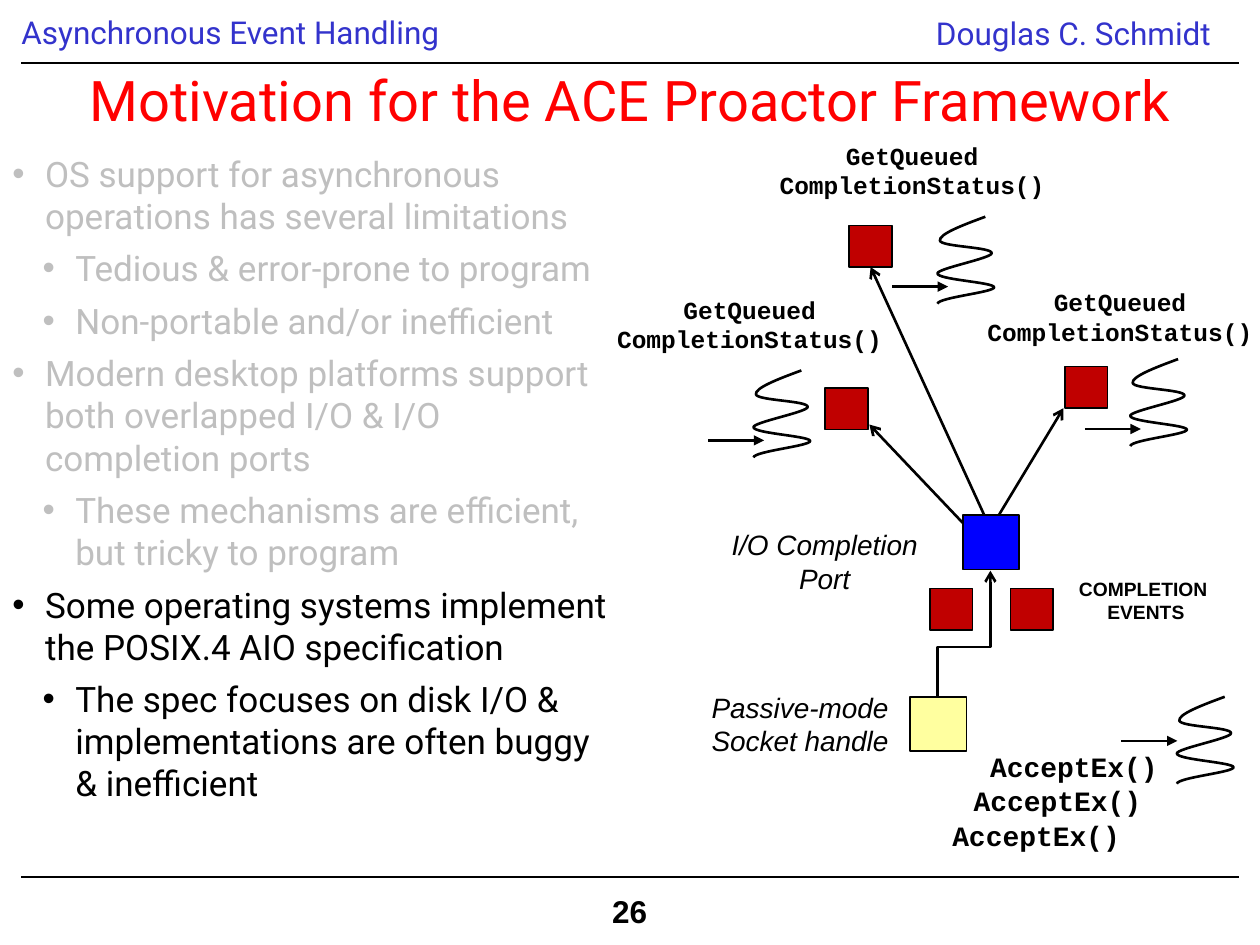
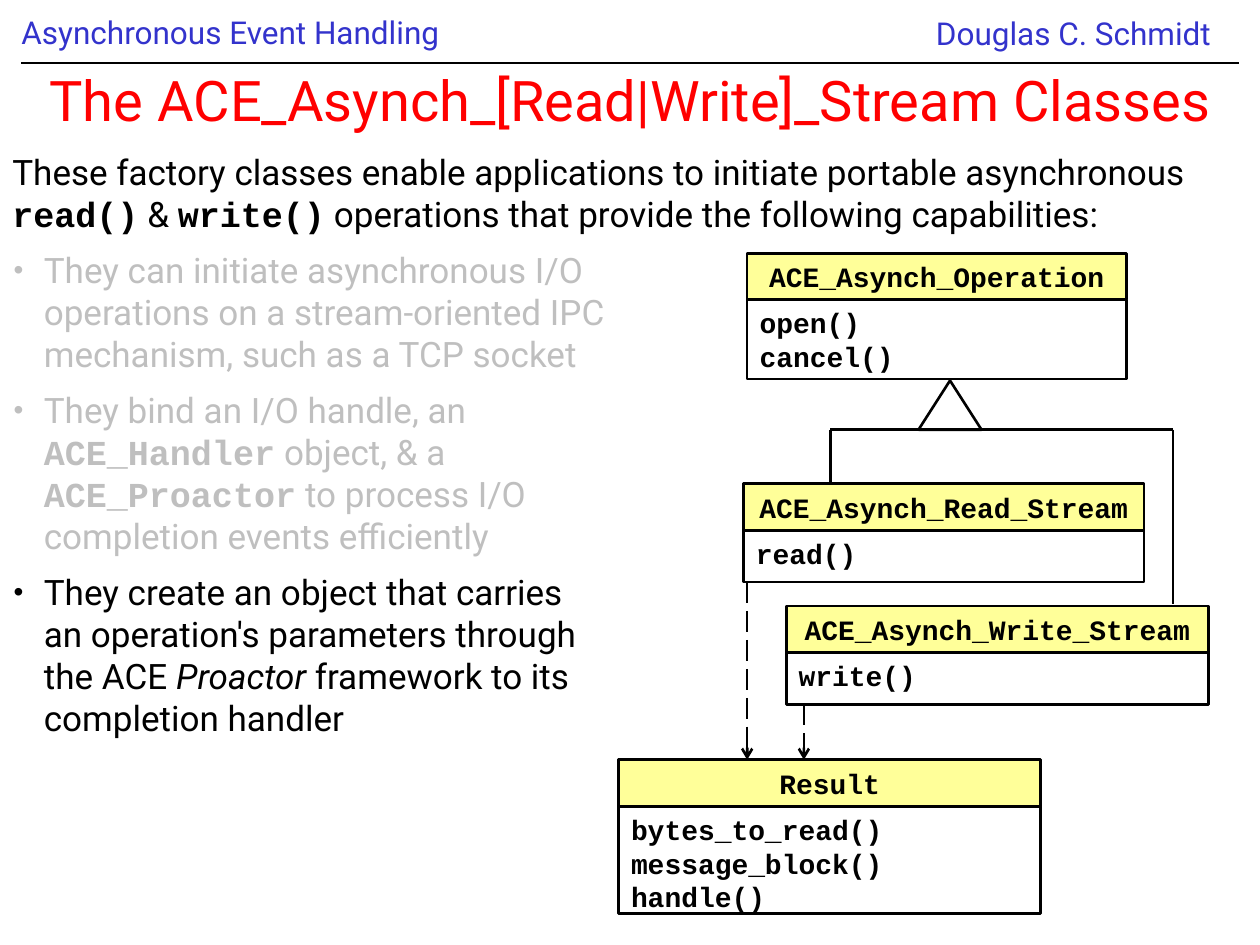
from lxml import etree
from pptx import Presentation
from pptx.dml.color import RGBColor
from pptx.enum.dml import MSO_LINE
from pptx.enum.shapes import MSO_CONNECTOR, MSO_SHAPE
from pptx.enum.text import MSO_ANCHOR, PP_ALIGN
from pptx.oxml.ns import qn
from pptx.util import Inches, Pt

LEFT, CENTER = PP_ALIGN.LEFT, PP_ALIGN.CENTER
TOP, MIDDLE = MSO_ANCHOR.TOP, MSO_ANCHOR.MIDDLE
STRAIGHT, ELBOW = MSO_CONNECTOR.STRAIGHT, MSO_CONNECTOR.ELBOW
RECTANGLE, TRIANGLE = MSO_SHAPE.RECTANGLE, MSO_SHAPE.ISOSCELES_TRIANGLE
LONG_DASH = MSO_LINE.LONG_DASH
BOTTOM_SIDE = 2
COLUMNS, ROWS = 100, 75

COLORS = {
    "black": "000000", "white": "FFFFFF", "header": "3333CC", "title": "FF0000",
    "faded": "BFBFBF", "event": "C00000", "port": "0000FF",
    "handle": "FFFF9F", "class": "FFFF99",
}
SANS, BODY, CODE = "Arial", "Roboto", "Courier New"
CODE_RUN = {"font": CODE, "bold": True}

SQUIGGLE = [
    (3.8, 0),
    (1.9, 0.7), (0.1, 1.4), (0.2, 1.9),
    (0.3, 2.4), (4.4, 2.4), (4.3, 2.9),
    (4.3, 3.3), (0, 4.1), (0, 4.5),
    (0, 5), (4.5, 5.2), (4.5, 5.6),
    (4.5, 6), (0.1, 6.4), (0, 6.9),
]


def color(name):
    return RGBColor.from_string(COLORS[name])


def round_off(shape):
    segments = list(shape._element.iter(qn("a:lnTo")))
    for first in range(0, len(segments), 3):
        curve = etree.Element(qn("a:cubicBezTo"))
        segments[first].addprevious(curve)
        for segment in segments[first:first + 3]:
            curve.append(segment[0])
            segment.getparent().remove(segment)


def style_run(run, size, font, ink, bold, italic):
    run.font.size = Pt(size)
    run.font.name = font
    run.font.bold = bold
    run.font.italic = italic
    run.font.color.rgb = color(ink)


def write(frame, text, size=16, font=SANS, ink="black", bold=False, italic=False,
          align=LEFT, before=0, spacing=None, indent=None, hanging=0.26, bullet_size=100):
    paragraph = frame.add_paragraph() if frame.text else frame.paragraphs[0]
    paragraph.alignment = align
    paragraph.space_before = Pt(before)
    if spacing:
        paragraph.line_spacing = spacing
    base = dict(size=size, font=font, ink=ink, bold=bold, italic=italic)
    for part in [text] if isinstance(text, str) else text:
        words, changes = (part, {}) if isinstance(part, str) else part
        for number, line in enumerate(words.split("\n")):
            if number:
                paragraph.add_line_break()
            if line:
                run = paragraph.add_run()
                run.text = line
                style_run(run, **{**base, **changes})
    if indent:
        properties = paragraph._p.get_or_add_pPr()
        properties.set("marL", str(Inches(indent)))
        properties.set("indent", str(-Inches(hanging)))
        etree.SubElement(properties, qn("a:buSzPct"), val=str(bullet_size * 1000))
        etree.SubElement(properties, qn("a:buFont"), typeface=SANS)
        etree.SubElement(properties, qn("a:buChar"), char="•")


class Deck:
    def __init__(self):
        self.presentation = Presentation()
        self.presentation.slide_width = Inches(10)
        self.presentation.slide_height = Inches(7.5)
        self.column = self.presentation.slide_width / COLUMNS
        self.row = self.presentation.slide_height / ROWS
        self.slide = None

    def place(self, x, y):
        return round(x * self.column), round(y * self.row)

    def add_slide(self, title, number=None):
        layout = self.presentation.slide_layouts[6]
        self.slide = self.presentation.slides.add_slide(layout)
        self.text(1.7, 0.9, 59.2, 3.7, ["Asynchronous Event Handling"], inset=0,
                  size=18, font=BODY, ink="header", spacing=0.9)
        for y in (5, 69.6):
            self.line(1.7, y, 98.3, y, width=0.75)
        self.text(73.3, 0.6, 25.1, 4, ["Douglas C. Schmidt"],
                  size=18, font=BODY, ink="header")
        if number:
            badge = self.shape(47.6, 70.3, 5.1, 4, "white", border=None)
            badge.text_frame.word_wrap = False
            write(badge.text_frame, number, size=18, bold=True)
        else:
            self.shape(0, 69.5, 100, 5.7, "white", border=None)
        self.text(1.7, 5.8, 96.7, 4.2, [title], anchor=MIDDLE,
                  size=32, font=BODY, ink="title", align=CENTER)

    def text(self, x, y, width, height, lines, wrap=True, anchor=TOP, inset=0.1, **style):
        shape = self.slide.shapes.add_textbox(*self.place(x, y), *self.place(width, height))
        frame = shape.text_frame
        frame.word_wrap = wrap
        frame.vertical_anchor = anchor
        frame.margin_left = frame.margin_right = Inches(inset)
        for line in lines:
            write(frame, line, **style)
        return frame

    def outline(self, line, width):
        line.color.rgb = color("black")
        line.width = Pt(width)

    def shape(self, x, y, width, height, fill=None, kind=RECTANGLE, border=1.0):
        shape = self.slide.shapes.add_shape(
            kind, *self.place(x, y), *self.place(width, height))
        shape.shadow.inherit = False
        if fill:
            shape.fill.solid()
            shape.fill.fore_color.rgb = color(fill)
        else:
            shape.fill.background()
        if border:
            self.outline(shape.line, border)
        else:
            shape.line.fill.background()
        return shape

    def line(self, x1, y1, x2, y2, width=1.5, head=None, dash=None, kind=STRAIGHT):
        connector = self.slide.shapes.add_connector(
            kind, *self.place(x1, y1), *self.place(x2, y2))
        self.outline(connector.line, width)
        if dash:
            connector.line.dash_style = dash
        if head:
            etree.SubElement(connector.line._get_or_add_ln(), qn("a:tailEnd"), type=head)
        etree.SubElement(connector._element.spPr, qn("a:effectLst"))
        return connector

    def upright_elbow(self, x1, y1, x2, y2, **style):
        middle_x, middle_y = (x1 + x2) / 2, (y1 + y2) / 2
        across, down = x1 - middle_x, y1 - middle_y
        connector = self.line(middle_x + down, middle_y - across,
                              middle_x - down, middle_y + across, kind=ELBOW, **style)
        connector._element.spPr.find(qn("a:xfrm")).set("rot", "5400000")

    def thread(self, x, y, arrow_x=-3.6, arrow_y=5.55):
        points = [self.place(x + dx, y + dy) for dx, dy in SQUIGGLE]
        builder = self.slide.shapes.build_freeform(*points[0])
        builder.add_line_segments(points[1:], close=False)
        shape = builder.convert_to_shape()
        round_off(shape)
        shape.shadow.inherit = False
        shape.fill.background()
        self.outline(shape.line, 1.5)
        self.line(x + arrow_x, y + arrow_y, x + arrow_x + 4.45, y + arrow_y, head="triangle")

    def event(self, x, y):
        return self.shape(x, y, 3.4, 3.3, "event")

    def class_box(self, x, y, width, height, name, methods):
        header_height = 3.7
        body = self.shape(x, y + header_height, width, height, "white", border=1.5)
        header = self.shape(x, y, width, header_height, "class", border=1.5)
        body.text_frame.vertical_anchor = TOP
        for method in methods:
            write(body.text_frame, method, **CODE_RUN)
        write(header.text_frame, name, align=CENTER, **CODE_RUN)


def add_motivation_slide(deck):
    deck.add_slide("Motivation for the ACE Proactor Framework", "26")
    topics = [
        (0.26, "faded", "OS support for asynchronous operations has several limitations"),
        (0.5, "faded", "Tedious & error-prone to program"),
        (0.5, "faded", "Non-portable and/or inefficient"),
        (0.26, "faded",
         "Modern desktop platforms support both overlapped I/O & I/O completion ports"),
        (0.5, "faded", "These mechanisms are efficient, but tricky to program"),
        (0.26, "black", "Some operating systems implement the POSIX.4 AIO specification"),
        (0.5, "black",
         "The spec focuses on disk I/O & implementations are often buggy & inefficient"),
    ]
    frame = deck.text(0, 11.6, 50, 53.2, [])
    for indent, ink, topic in topics:
        write(frame, topic, size=20, font=BODY, ink=ink, before=6, indent=indent)

    deck.text(54.7, 54.3, 17.6, 6.4, ["Passive-mode Socket handle"],
              italic=True, align=CENTER)
    deck.text(53.9, 41.4, 23.1, 6.4, ["I/O Completion", "Port"], italic=True, align=CENTER)
    deck.text(84.6, 45.3, 12.7, 4.7, ["COMPLETION \nEVENTS"], wrap=False,
              size=11, bold=True, align=CENTER)
    for x, y in [(77.6, 59), (76.3, 61.7), (74.6, 64.5)]:
        deck.text(x, y, 15.4, 3.7, ["AcceptEx()"], wrap=False, **CODE_RUN)
    for x, y in [(47.9, 22.9), (60.8, 10.7), (77.3, 22.3)]:
        deck.text(x, y, 23.2, 5.7, ["GetQueued", "CompletionStatus()"], wrap=False,
                  size=14, align=CENTER, **CODE_RUN)

    for x, y in [(59.8, 29.4), (74.4, 17.2), (89.7, 28.5)]:
        deck.thread(x, y)
    deck.thread(93.4, 55.3, arrow_x=-4.4, arrow_y=3.5)

    for x, y in [(65.5, 30.8), (84.5, 29.1), (73.8, 46.7), (80.2, 46.7)]:
        deck.event(x, y)
    top_event = deck.event(67.4, 17.9)
    deck.line(76.6, 41.7, 69, 33.7, head="arrow")
    deck.line(78.9, 41.5, 84.4, 32.4, head="arrow")
    deck.line(78.4, 41.5, 69.1, 21.2, head="arrow").end_connect(top_event, BOTTOM_SIDE)
    deck.upright_elbow(74.4, 57.4, 78.6, 45.3, head="arrow")
    deck.shape(76.4, 40.9, 4.5, 4.3, "port")
    deck.shape(72.2, 55.3, 4.5, 4.3, "handle")


def add_stream_classes_slide(deck):
    deck.add_slide("The ACE_Asynch_[Read|Write]_Stream Classes")
    frame = deck.text(0, 11.45, 100, 48.8, [[
        "These factory classes enable applications to initiate portable asynchronous ",
        ("read()", CODE_RUN), " & ", ("write()", CODE_RUN),
        " operations that provide the following capabilities:",
    ]], size=20, font=BODY, before=8)
    capabilities = [
        ("faded", "They can initiate asynchronous I/O \noperations on a stream-oriented IPC \n"
                  "mechanism, such as a TCP socket"),
        ("faded", ["They bind an I/O handle, an \n", ("ACE_Handler", CODE_RUN),
                   " object, & a \n", ("ACE_Proactor", CODE_RUN),
                   " to process I/O \ncompletion events efficiently"]),
        ("black", ["They create an object that carries\n"
                   "an operation's parameters through \nthe ACE ",
                   ("Proactor", {"italic": True}),
                   " framework to its \ncompletion handler"]),
    ]
    for ink, capability in capabilities:
        write(frame, capability, size=20, font=BODY, ink=ink, before=8,
              indent=0.25, hanging=0.24, bullet_size=80)

    deck.class_box(59.3, 20.1, 30.1, 6.3, "ACE_Asynch_Operation", ["open()", "cancel()"])
    deck.class_box(62.4, 48.1, 33.5, 4.1, "ACE_Asynch_Write_Stream", ["write()"])
    deck.class_box(59, 38.4, 31.8, 4.1, "ACE_Asynch_Read_Stream", ["read()"])
    deck.class_box(49.1, 60.3, 33.5, 8.5, "Result",
                   ["bytes_to_read()", "message_block()", "handle()"])

    deck.shape(72.9, 30.2, 5, 3.9, kind=TRIANGLE, border=1.5)
    deck.line(65.9, 34.1, 93.1, 34.1)
    deck.line(65.9, 34.1, 65.9, 38.4)
    deck.line(93.1, 34.1, 93.1, 47.9)
    for x, y in [(59.3, 46.2), (63.8, 55.9)]:
        deck.line(x, y, x, 60.3, head="arrow", dash=LONG_DASH)


def main():
    deck = Deck()
    add_motivation_slide(deck)
    add_stream_classes_slide(deck)
    deck.presentation.save("out.pptx")


if __name__ == "__main__":
    main()
